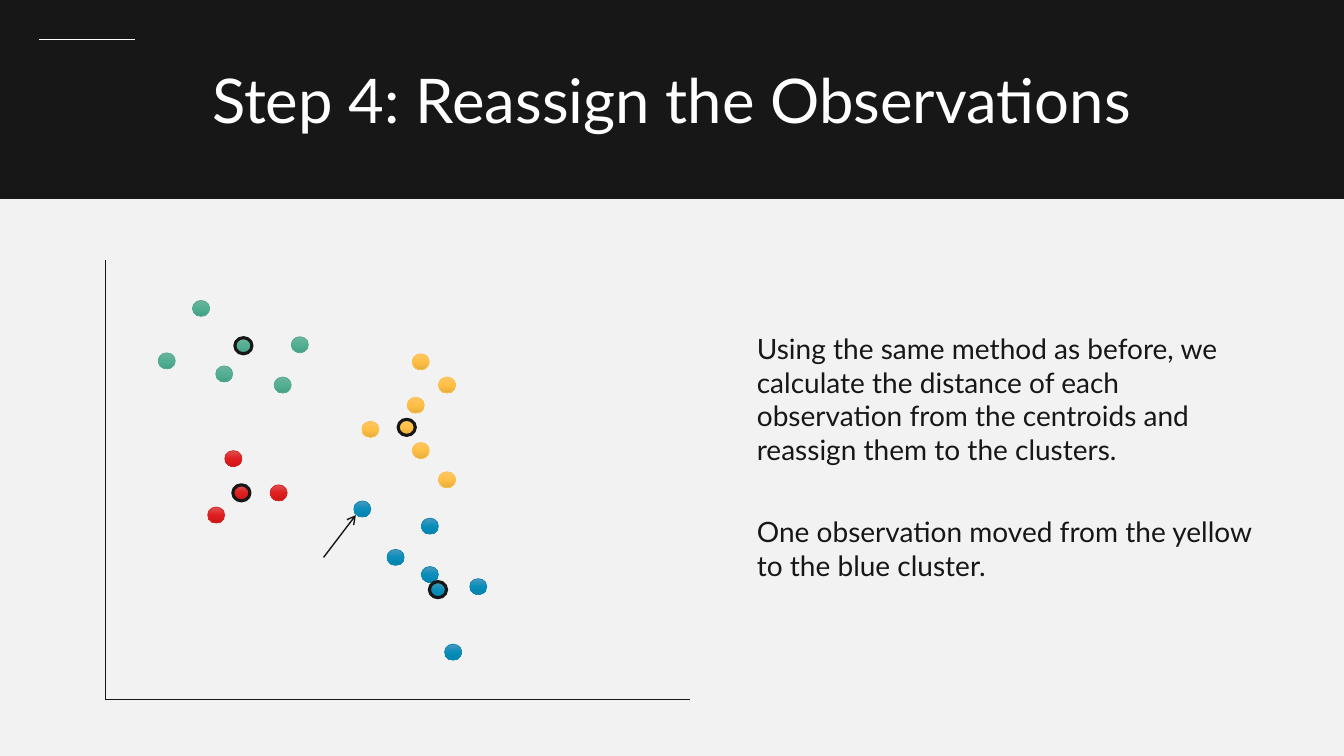
from copy import deepcopy

from lxml.etree import SubElement
from pptx import Presentation
from pptx.dml.color import RGBColor
from pptx.enum.shapes import MSO_CONNECTOR as Connector, MSO_SHAPE as Shape
from pptx.enum.text import MSO_ANCHOR as Anchor, MSO_AUTO_SIZE as AutoSize, PP_ALIGN as Align
from pptx.oxml.ns import qn
from pptx.util import Inches, Pt

INK = RGBColor(0x18, 0x17, 0x17)
PAPER = RGBColor(0xF2, 0xF2, 0xF2)
WHITE = RGBColor(0xFF, 0xFF, 0xFF)
GREEN = RGBColor(0x56, 0xAB, 0x91)
GREEN_SHADES = RGBColor(0x6D, 0xB4, 0x9D), RGBColor(0x52, 0xAF, 0x93), RGBColor(0x44, 0xA0, 0x84)
RED = RGBColor(0xD6, 0x28, 0x28)
RED_SHADES = RGBColor(0xDD, 0x52, 0x52), RGBColor(0xDF, 0x1F, 0x1F), RGBColor(0xCE, 0x14, 0x14)
YELLOW = RGBColor(0xFC, 0xBF, 0x49)
YELLOW_SHADES = RGBColor(0xFF, 0xC6, 0x65), RGBColor(0xFF, 0xC0, 0x46), RGBColor(0xE5, 0xAB, 0x3C)
BLUE = RGBColor(0x11, 0x8A, 0xB2)
BLUE_SHADES = RGBColor(0x4C, 0x98, 0xBD), RGBColor(0x09, 0x8E, 0xBA), RGBColor(0x01, 0x82, 0xAC)

COLS, ROWS = 133.33, 75
DOT = 1.7, 1.6

CLUSTERS = [
    (GREEN, GREEN_SHADES, (23.3, 33.5),
     [(19.1, 29.8), (21.4, 36.3), (27.2, 37.4), (15.7, 35), (28.9, 33.4)]),
    (RED, RED_SHADES, (23.1, 48.1),
     [(22.3, 44.7), (26.8, 48.1), (20.6, 50.3)]),
    (YELLOW, YELLOW_SHADES, (39.5, 41.6),
     [(43.5, 37.4), (40.4, 39.4), (40.9, 43.9), (35.9, 41.8), (40.9, 35.1), (43.5, 46.8)]),
    (BLUE, BLUE_SHADES, (42.6, 57.7),
     [(41.8, 51.4), (38.4, 54.5), (41.8, 56.2), (46.6, 57.4), (44.1, 63.9), (35.1, 49.7)]),
]

NOTES = [
    (32.4, 14.5, "Using the same method as before, we calculate the distance of each "
                 "observation from the centroids and reassign them to the clusters."),
    (50.6, 7.7, "One observation moved from the yellow to the blue cluster."),
]


class Canvas:
    """Draws styled elements on one slide, measured in grid columns and rows."""

    def __init__(self, prs, font="Lato"):
        self.font = font
        self.col, self.row = prs.slide_width / COLS, prs.slide_height / ROWS
        self.s = prs.slides.add_slide(prs.slide_layouts[5])
        self.s.background.fill.solid()
        self.s.background.fill.fore_color.rgb = PAPER

    def place(self, x, y):
        return round(x * self.col), round(y * self.row)

    def shape(self, kind, at, size, line, width):
        sp = self.s.shapes.add_shape(kind, *self.place(*at), *self.place(*size))
        sp.shadow.inherit = False
        sp.line.color.rgb = line
        sp.line.width = Pt(width)
        return sp

    def band(self, height):
        sp = self.shape(Shape.RECTANGLE, (0, 0), (COLS, height), INK, 1)
        sp.fill.solid()
        sp.fill.fore_color.rgb = INK
        self.s.shapes.title._element.addprevious(sp._element)

    def dot(self, at, shades, line, width=0.5):
        sp = self.shape(Shape.OVAL, at, DOT, line, width)
        sp.fill.gradient()
        sp.fill.gradient_angle = 270
        stops = sp._element.spPr.find(".//" + qn("a:gsLst"))
        stops.append(deepcopy(stops[0]))
        for stop, position, shade in zip(sp.fill.gradient_stops, (0, 0.5, 1), shades):
            stop.position = position
            stop.color.rgb = shade

    def line(self, start, end, color=INK, width=0.5, arrow=False):
        sp = self.s.shapes.add_connector(Connector.STRAIGHT, *self.place(*start), *self.place(*end))
        sp.line.color.rgb = color
        sp.line.width = Pt(width)
        if arrow:
            SubElement(sp._element.spPr.find(qn("a:ln")), qn("a:tailEnd"), type="arrow")
        SubElement(sp._element.spPr, qn("a:effectLst"))

    def style_text(self, sp, text, size, color, align=Align.LEFT):
        tf = sp.text_frame
        tf.text = text
        tf.word_wrap = True
        tf.auto_size = AutoSize.SHAPE_TO_FIT_TEXT
        tf.vertical_anchor = Anchor.TOP
        p = tf.paragraphs[0]
        p.alignment = align
        r = p.runs[0]
        r.font.name = self.font
        r.font.size = Pt(size)
        r.font.color.rgb = color

    def title(self, text, at, size):
        sp = self.s.shapes.title
        sp.left, sp.top = self.place(*at)
        sp.width, sp.height = self.place(*size)
        self.style_text(sp, text, 44, WHITE, Align.CENTER)

    def text(self, text, at, size):
        sp = self.s.shapes.add_textbox(*self.place(*at), *self.place(*size))
        self.style_text(sp, text, 20, INK)


def main():
    prs = Presentation()
    prs.slide_width, prs.slide_height = Inches(13.33), Inches(7.5)
    canvas = Canvas(prs)

    canvas.band(19.7)
    canvas.line((3.9, 3.9), (13.4, 3.9), WHITE)
    canvas.title("Step 4: Reassign the Observations", (12, 5.6), (109.3, 8.4))

    origin = 10.5, 69.4
    canvas.line((10.5, 25.8), origin)
    canvas.line((68.5, 69.4), origin)
    for color, shades, _, observations in CLUSTERS:
        for at in observations:
            canvas.dot(at, shades, color)
    for _, shades, centroid, _ in CLUSTERS:
        canvas.dot(centroid, shades, INK, 2.25)
    canvas.line((32.1, 55.3), (35.3, 51.1), width=1, arrow=True)

    for top, height, note in NOTES:
        canvas.text(note, (74.1, top), (52.7, height))

    prs.save("out.pptx")


if __name__ == "__main__":
    main()
